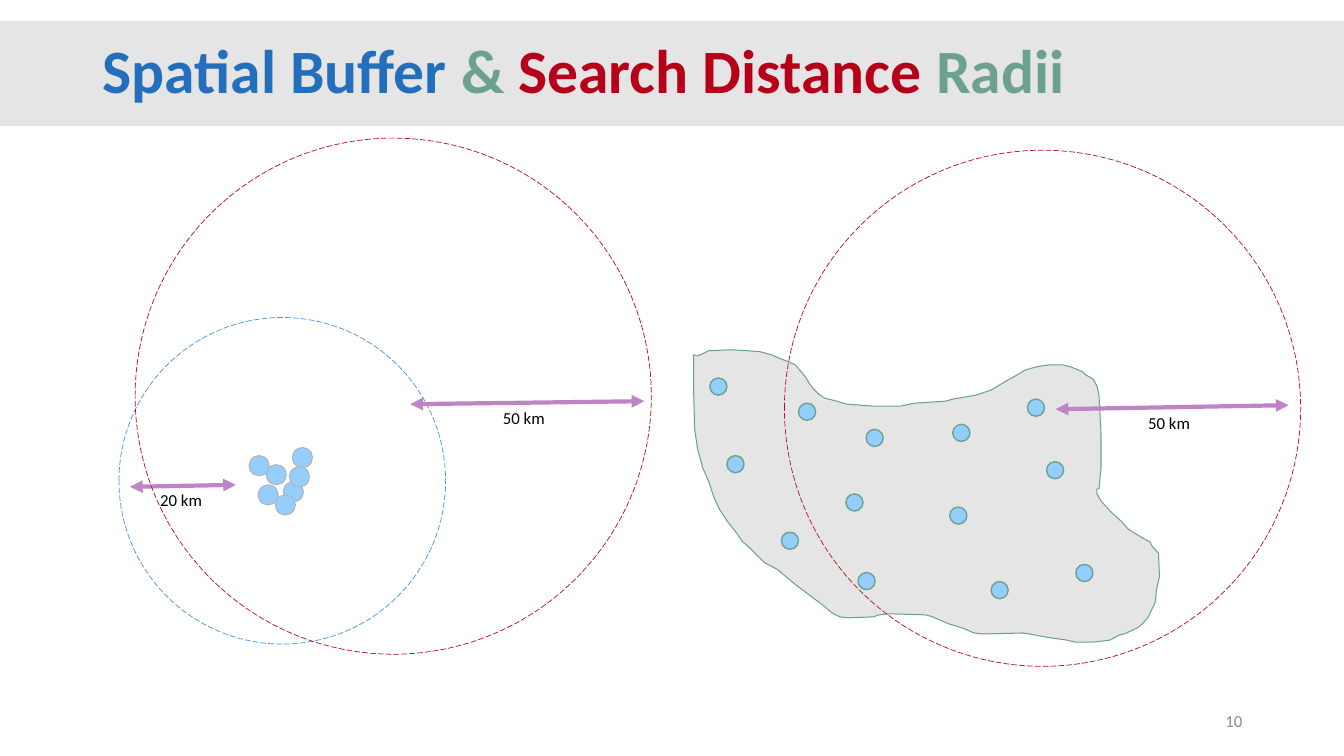
from lxml.etree import SubElement
from pptx import Presentation
from pptx.dml.color import RGBColor
from pptx.enum.dml import MSO_LINE
from pptx.enum.shapes import MSO_CONNECTOR, MSO_SHAPE
from pptx.enum.text import MSO_ANCHOR, MSO_AUTO_SIZE, PP_ALIGN
from pptx.oxml.ns import qn
from pptx.util import Emu, Pt

PX = 9144
COLORS = {
    "band": "E5E5E5", "blue": "236FBB", "green": "6CA18F", "red": "B6001A",
    "number": "8C8C8C", "buffer": "4B94DD", "search": "B81020", "point": "93CEFF",
    "cluster_line": "B2B2B2", "arrow": "BE84C6", "area": "7F7F7F", "black": "000000",
}
TITLE_RUNS = [("Spatial Buffer", "blue"), (" & ", "green"),
              ("Search Distance", "red"), (" Radii", "green")]
TITLE_BOX = (92, 0, 1150, 145)
BAND_BOX = (0, 21, 1333, 104)
NUMBER_BOX = (942, 695, 300, 40)
LABEL_SIZE = (73, 30)
BUFFER_CIRCLE = (118, 315, 324)
SEARCH_CIRCLES = [(134, 137, 512), (778, 149, 512)]
CLUSTER_SIZE = 20
CLUSTER_POINTS = [(264, 461), (281, 478), (287, 463), (256, 481),
                  (247, 452), (290, 444), (273, 491)]
SPREAD_SIZE = 17
SPREAD_POINTS = [(704, 375), (721, 452), (792, 400), (775, 528), (859, 426),
                 (945, 421), (851, 568), (1038, 458), (839, 490), (1019, 396),
                 (942, 503), (983, 577), (1067, 560)]
DISTANCES = [
    ("20 km", (149, 481), (129, 483, 234, 481)),
    ("50 km", (489, 400), (407, 401, 639, 398)),
    ("50 km", (1129, 405), (1047, 406, 1278, 402)),
]
AREA_OUTLINE = [
    (688, 352), (688, 390), (689, 426), (692, 446), (697, 464), (703, 478),
    (708, 493), (714, 506), (722, 518), (730, 528), (736, 537), (742, 542),
    (751, 551), (758, 558), (771, 565), (789, 580), (805, 592), (817, 601),
    (825, 608), (833, 612), (842, 613), (866, 612), (872, 610), (882, 609),
    (918, 610), (925, 612), (934, 616), (941, 619), (948, 621), (957, 624),
    (966, 628), (975, 629), (1015, 628), (1043, 633), (1058, 635), (1066, 637),
    (1085, 637), (1101, 635), (1110, 630), (1115, 629), (1128, 623), (1133, 619),
    (1139, 612), (1146, 597), (1147, 585), (1150, 572), (1149, 549), (1142, 541),
    (1141, 538), (1132, 533), (1119, 525), (1112, 517), (1102, 508), (1092, 497),
    (1088, 490), (1088, 485), (1090, 485), (1092, 465), (1092, 430), (1090, 392),
    (1088, 383), (1084, 376), (1077, 372), (1074, 369), (1062, 364), (1054, 362),
    (1040, 362), (1028, 364), (1017, 367), (1007, 373), (998, 378), (983, 387),
    (968, 392), (945, 396), (938, 398), (907, 400), (893, 403), (867, 403),
    (840, 401), (826, 397), (818, 395), (812, 391), (807, 386), (803, 381),
    (799, 374), (793, 367), (789, 362), (782, 359), (772, 355), (765, 352),
    (754, 349), (741, 348), (725, 347), (703, 348), (697, 351), (692, 353),
]


def color(name):
    return RGBColor.from_string(COLORS[name])


def scaled(lengths):
    return [Emu(length * PX) for length in lengths]


def apply_format(target, values):
    for name, value in values.items():
        setattr(target, name, value)


def style(shape, fill=None, line=None, width=1, dash=None):
    shape.shadow.inherit = False
    if fill:
        shape.fill.solid()
        shape.fill.fore_color.rgb = color(fill)
    else:
        shape.fill.background()
    if line:
        shape.line.color.rgb = color(line)
        apply_format(shape.line, {"width": Pt(width), "dash_style": dash})
    else:
        shape.line.fill.background()


def add_circle(shapes, left, top, size, **look):
    circle = shapes.add_shape(MSO_SHAPE.OVAL, *scaled((left, top, size, size)))
    style(circle, **look)


def add_run(paragraph, text, color_name, size, bold=False):
    run = paragraph.add_run()
    run.text = text
    apply_format(run.font, {"name": "Calibri", "size": Pt(size), "bold": bold})
    run.font.color.rgb = color(color_name)


def add_text(shapes, box, text, color_name, anchor, align):
    shape = shapes.add_textbox(*scaled(box))
    apply_format(shape.text_frame, {"word_wrap": True, "vertical_anchor": anchor})
    paragraph = shape.text_frame.paragraphs[0]
    paragraph.alignment = align
    add_run(paragraph, text, color_name, 12)


def add_distance(shapes, text, label_corner, ends):
    arrow = shapes.add_connector(MSO_CONNECTOR.STRAIGHT, *scaled(ends))
    arrow.line.color.rgb = color("arrow")
    arrow.line.width = Pt(3)
    line = arrow.line.fill._xPr
    for end in ("a:headEnd", "a:tailEnd"):
        SubElement(line, qn(end), type="triangle")
    SubElement(arrow.element.spPr, qn("a:effectLst"))
    add_text(shapes, label_corner + LABEL_SIZE, text, "black",
             MSO_ANCHOR.TOP, PP_ALIGN.LEFT)


def add_title(slide):
    title = slide.shapes.title
    apply_format(title, dict(zip(("left", "top", "width", "height"), scaled(TITLE_BOX))))
    apply_format(title.text_frame, {"word_wrap": True, "auto_size": MSO_AUTO_SIZE.NONE,
                                    "vertical_anchor": MSO_ANCHOR.MIDDLE})
    paragraph = title.text_frame.paragraphs[0]
    apply_format(paragraph, {"alignment": PP_ALIGN.LEFT, "line_spacing": 0.9})
    for text, color_name in TITLE_RUNS:
        add_run(paragraph, text, color_name, 44, bold=True)
    band = slide.shapes.add_shape(MSO_SHAPE.RECTANGLE, *scaled(BAND_BOX))
    style(band, fill="band")
    title.element.addprevious(band.element)


def add_area(shapes):
    builder = shapes.build_freeform(*AREA_OUTLINE[0], scale=PX)
    builder.add_line_segments(AREA_OUTLINE[1:], close=True)
    area = builder.convert_to_shape()
    style(area, fill="area", line="green", width=0.75)
    fill_color = area.element.spPr.find(qn("a:solidFill")).find(qn("a:srgbClr"))
    SubElement(fill_color, qn("a:alpha"), val="20000")


def main():
    presentation = Presentation()
    apply_format(presentation, dict(zip(("slide_width", "slide_height"), scaled((1333, 750)))))
    slide = presentation.slides.add_slide(presentation.slide_layouts[5])
    shapes = slide.shapes
    add_title(slide)
    add_text(shapes, NUMBER_BOX, "10", "number", MSO_ANCHOR.MIDDLE, PP_ALIGN.RIGHT)

    search_look = {"line": "search", "width": 0.5, "dash": MSO_LINE.LONG_DASH}
    near_distance, left_distance, right_distance = DISTANCES
    left_search, right_search = SEARCH_CIRCLES
    add_circle(shapes, *BUFFER_CIRCLE, **{**search_look, "line": "buffer"})
    for left, top in CLUSTER_POINTS:
        add_circle(shapes, left, top, CLUSTER_SIZE,
                   fill="point", line="cluster_line", width=0.75)
    add_distance(shapes, *near_distance)
    add_circle(shapes, *left_search, **search_look)
    add_distance(shapes, *left_distance)

    add_area(shapes)
    for left, top in SPREAD_POINTS:
        add_circle(shapes, left, top, SPREAD_SIZE, fill="point", line="green")
    add_circle(shapes, *right_search, **search_look)
    add_distance(shapes, *right_distance)
    presentation.save("out.pptx")


if __name__ == "__main__":
    main()
